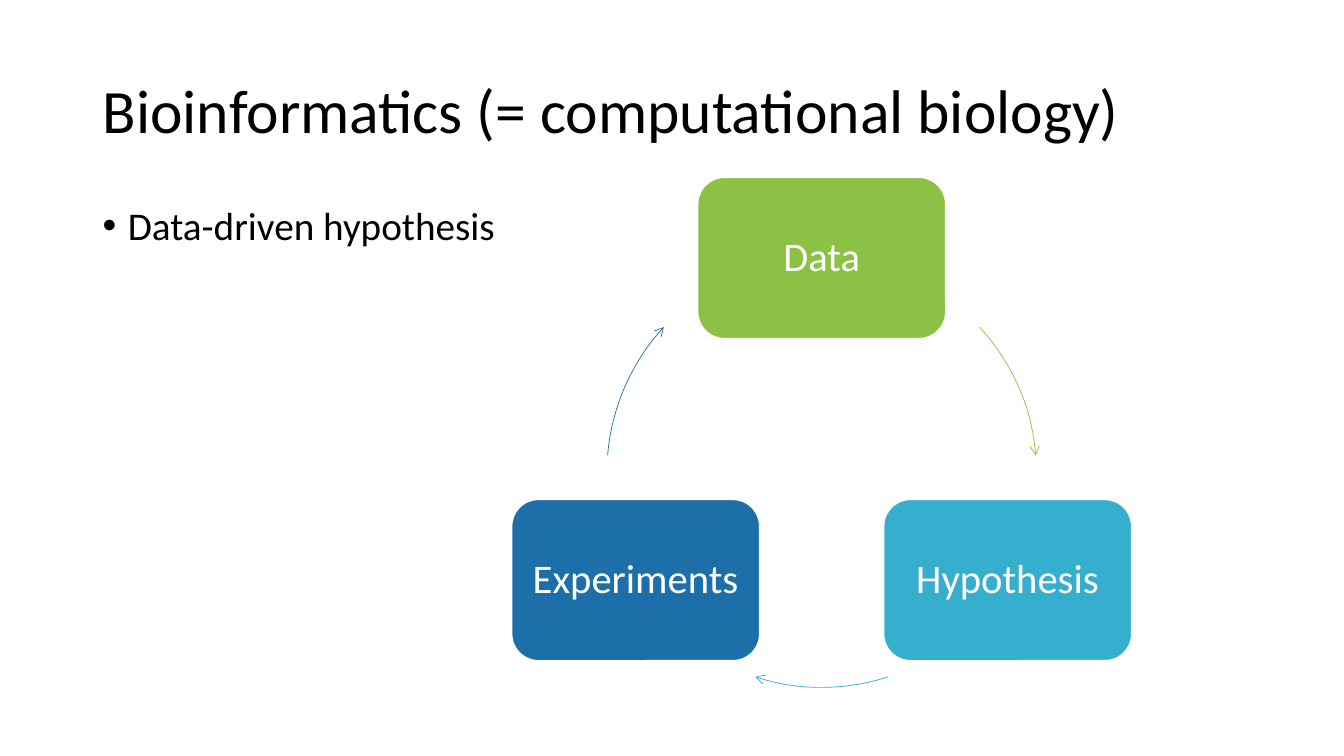
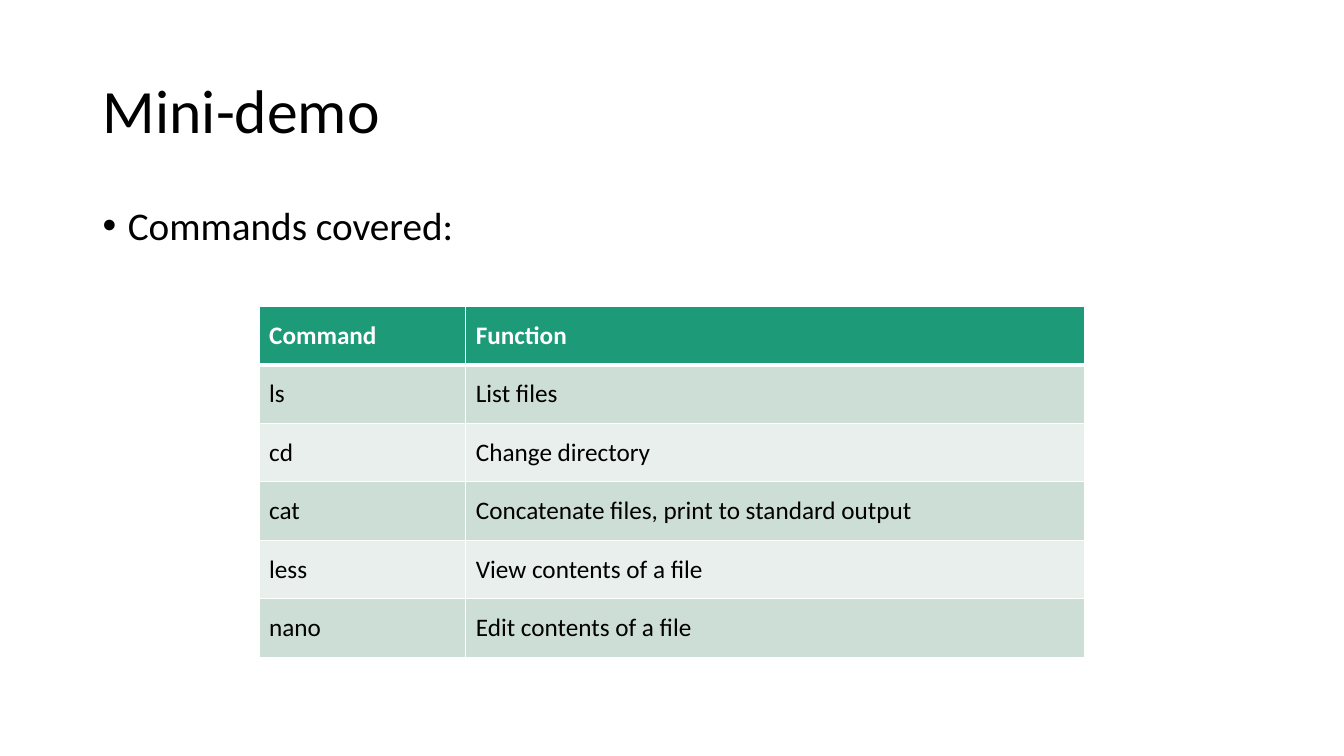
from math import cos, radians, sin

from pptx import Presentation
from pptx import util as u
from pptx.dml.color import RGBColor
from pptx.enum import shapes, text
from pptx.oxml import ns, xmlchemy

SCALE = 9144
FONT = "Calibri"
BLACK = RGBColor(0x00, 0x00, 0x00)
WHITE = RGBColor(0xFF, 0xFF, 0xFF)
LIME = RGBColor(0x8B, 0xC1, 0x45)
AQUA = RGBColor(0x36, 0xAF, 0xCE)
BLUE = RGBColor(0x1D, 0x6F, 0xA9)
GREEN = RGBColor(0x1D, 0x9A, 0x78)
BANDS = (RGBColor(0xCD, 0xDE, 0xD6), RGBColor(0xE8, 0xEF, 0xEC))

LEFT = text.PP_ALIGN.LEFT
CENTER = text.PP_ALIGN.CENTER
MIDDLE = text.MSO_ANCHOR.MIDDLE
TITLE = {"size": u.Pt(44), "bold": False}
BODY = {"size": u.Pt(28)}
NODE = {"size": u.Pt(29)}
HEAD = {"size": u.Pt(18), "bold": True}
CELL = {"size": u.Pt(18), "bold": False}

STEPS = (
    ("Data", LIME, -90, (317.3, 355.4)),
    ("Hypothesis", AQUA, 30, (72, 108)),
    ("Experiments", BLUE, 150, (184.6, 222.7)),
)
ROWS = (
    ("Command", "Function"),
    ("ls", "List files"),
    ("cd", "Change directory"),
    ("cat", "Concatenate files, print to standard output"),
    ("less", "View contents of a file"),
    ("nano", "Edit contents of a file"),
)


def px(*vals):
    return [u.Emu(round(val * SCALE)) for val in vals]


def apply(item, form):
    for key, val in form.items():
        setattr(item, key, val)


def tag(root, name, **attrs):
    node = xmlchemy.OxmlElement(name)
    for key, val in attrs.items():
        node.set(key, str(val))
    root.append(node)
    return node


def write(frame, words, form, color=BLACK, align=LEFT, lines=None):
    frame.text = words
    para = frame.paragraphs[0]
    apply(para, {"alignment": align, "line_spacing": lines})
    apply(para.font, {"name": FONT, **form})
    para.font.color.rgb = color
    return para


def add_slide(deck, words):
    slide = deck.slides.add_slide(deck.slide_layouts[5])
    title = slide.shapes.title
    apply(title, dict(zip(("left", "top", "width", "height"), px(92, 40, 1150, 145))))
    frame = title.text_frame
    apply(frame, {"vertical_anchor": MIDDLE, "word_wrap": True,
                  "auto_size": text.MSO_AUTO_SIZE.NONE})
    write(frame, words, TITLE, lines=0.9)
    return slide


def add_bullet(slide, words, width):
    frame = slide.shapes.add_textbox(*px(92, 200, width, 476)).text_frame
    frame.word_wrap = True
    para = write(frame, words, BODY, lines=0.9)
    para.space_before = u.Pt(10)
    props = para._p.get_or_add_pPr()
    indent = px(25)[0]
    apply_attrs = {"marL": indent, "indent": -indent}
    for key, val in apply_attrs.items():
        props.set(key, str(val))
    tag(props, "a:buFont", typeface="Arial")
    tag(props, "a:buChar", char="•")


def add_node(slide, words, color, x, y, wide=246, high=160):
    box = slide.shapes.add_shape(
        shapes.MSO_SHAPE.ROUNDED_RECTANGLE,
        *px(x - wide / 2, y - high / 2, wide, high))
    box.shadow.inherit = False
    box.fill.solid()
    box.fill.fore_color.rgb = color
    box.line.color.rgb = WHITE
    box.line.width = u.Pt(1)
    frame = box.text_frame
    apply(frame, {"vertical_anchor": MIDDLE, "word_wrap": True,
                  "margin_left": 0, "margin_right": 0})
    write(frame, words, NODE, WHITE, CENTER, 0.9)


def add_arc(slide, color, x, y, radius, span):
    arc = slide.shapes.add_shape(
        shapes.MSO_SHAPE.ARC,
        *px(x - radius, y - radius, 2 * radius, 2 * radius))
    for num, angle in enumerate(span):
        arc.adjustments[num] = angle * 0.6
    arc.shadow.inherit = False
    arc.fill.background()
    arc.line.color.rgb = color
    arc.line.width = u.Pt(0.5)
    tag(arc._element.spPr.find(ns.qn("a:ln")), "a:tailEnd", type="arrow")


def add_cycle(slide, x=815, y=469, radius=213):
    for words, color, angle, span in STEPS:
        turn = radians(angle)
        add_node(slide, words, color,
                 x + radius * cos(turn), y + radius * sin(turn))
        add_arc(slide, color, x, y, radius, span)


def add_edges(cell, widths):
    props = cell._tc.get_or_add_tcPr()
    for side, width in zip("LRTB", widths):
        line = tag(props, f"a:ln{side}", w=u.Pt(width))
        tag(tag(line, "a:solidFill"), "a:srgbClr", val=WHITE)


def add_grid(slide, rows, widths, high=58):
    grid = slide.shapes.add_table(
        len(rows), len(widths),
        *px(257, 304, sum(widths), high * len(rows))).table
    for col, width in zip(grid.columns, px(*widths)):
        col.width = width
    for num, row in enumerate(rows):
        grid.rows[num].height = px(high)[0]
        head = num == 0
        fill = GREEN if head else BANDS[(num - 1) % 2]
        edges = (1, 1, 3 if num == 1 else 1, 3 if head else 1)
        for pos, words in enumerate(row):
            cell = grid.cell(num, pos)
            add_edges(cell, edges)
            cell.fill.solid()
            cell.fill.fore_color.rgb = fill
            cell.vertical_anchor = MIDDLE
            write(cell.text_frame, words, HEAD if head else CELL,
                  WHITE if head else BLACK)


def main():
    deck = Presentation()
    deck.slide_width, deck.slide_height = px(1333, 750)

    slide = add_slide(deck, "Bioinformatics (= computational biology)")
    add_bullet(slide, "Data-driven hypothesis", 575)
    add_cycle(slide)

    slide = add_slide(deck, "Mini-demo")
    add_bullet(slide, "Commands covered:", 1150)
    add_grid(slide, ROWS, (205, 614))

    deck.save("out.pptx")


if __name__ == "__main__":
    main()
